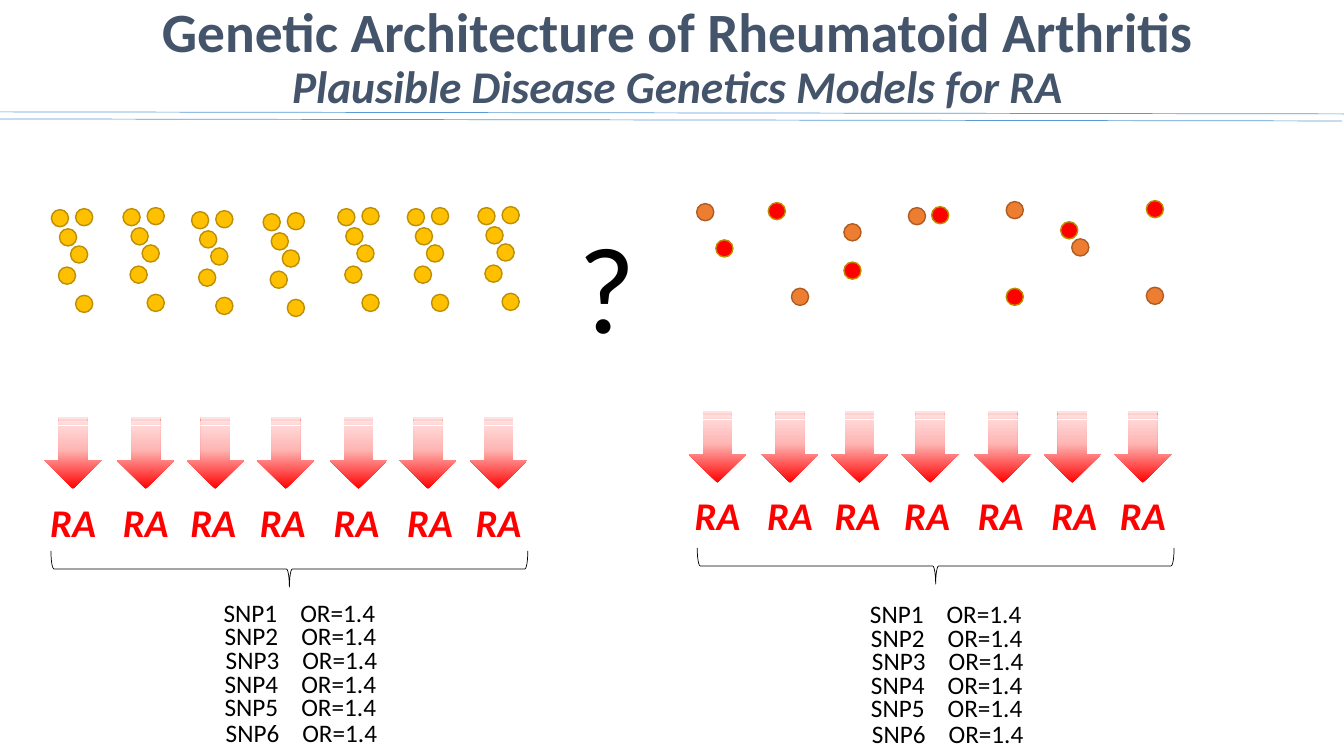
from copy import deepcopy
from dataclasses import dataclass

from lxml import etree
from pptx import Presentation
from pptx import util as u
from pptx.dml import color
from pptx.enum import shapes, text
from pptx.oxml import ns

DOT_SIZE = 0.17
RULE_BLUE = "5B9BD5"
TITLE_SLATE = "44546A"
RED = "FF0000"
BLACK = "000000"
ARROW_STOPS = [(0, RED), (0.55, "FEB6B4"), (1, "FFE3E3")]


@dataclass(frozen=True)
class Variant:
    fill: str
    outline: str


@dataclass(frozen=True)
class Model:
    arrow_left: float
    arrow_top: float
    label_left: float
    label_top: float
    brace_left: float
    brace_top: float
    snp_left: float
    snp_top: float


COMMON = Variant("FFC000", "BD8E00")
RARE_RED = Variant(RED, "BD8E00")
RARE_ORANGE = Variant("ED7D31", "AF5C24")

CLUSTER_DOTS = [(0.08, 0.19), (0.07, 0.57), (0.24, -0.01),
                (0.19, 0.36), (0.24, 0.85), (0, 0)]
CLUSTERS = [(0.51, 2.08), (1.22, 2.07), (1.9, 2.1), (2.61, 2.12),
            (3.35, 2.07), (4.04, 2.07), (4.74, 2.06)]
RARE_DOTS = [
    (RARE_RED, [(7.1, 2.38), (7.62, 2.01), (8.37, 2.6), (9.24, 2.05),
                (9.98, 2.86), (10.52, 2.2), (11.37, 1.99)]),
    (RARE_ORANGE, [(6.91, 2.02), (7.85, 2.86), (8.37, 2.22), (9.01, 2.06),
                   (9.98, 2), (10.63, 2.37), (11.37, 2.85)]),
]
MODELS = [
    Model(0.37, 4.21, 0.4, 4.89, 2.69, 3.28, 2.12, 5.88),
    Model(6.76, 4.15, 6.79, 4.83, 9.1, 3.25, 8.53, 5.89),
]
ARROW_STEPS = [0, 0.72, 1.41, 2.11, 2.83, 3.52, 4.22]
LABEL_STEPS = [0, 0.72, 1.39, 2.08, 2.81, 3.54, 4.22]
SNP_STEPS = [(0, 0), (0.01, 0.23), (0.02, 0.46), (0.01, 0.7), (0.01, 0.93), (0.02, 1.19)]

deck = Presentation()
deck.slide_width = u.Inches(13.33)
deck.slide_height = u.Inches(7.5)
slide = deck.slides.add_slide(deck.slide_layouts[6])


def rgb(value: str) -> color.RGBColor:
    return color.RGBColor.from_string(value)


def add_text(content, left: float, top: float, width: float, height: float, *,
             size: float, tint: str = BLACK, bold=None, italic=None,
             wrap: bool = False, tab: float = 0, align=None, anchor=None, spacing=None):
    box = slide.shapes.add_textbox(*map(u.Inches, (left, top, width, height)))
    frame = box.text_frame
    frame.word_wrap = wrap
    if anchor is not None:
        frame.vertical_anchor = anchor
    paragraph = frame.paragraphs[0]
    if tab:
        stops = etree.SubElement(paragraph._p.get_or_add_pPr(), ns.qn("a:tabLst"))
        etree.SubElement(stops, ns.qn("a:tab"), pos=str(u.Inches(tab)), algn="l")
    paragraph.alignment = align
    paragraph.line_spacing = spacing
    add_run(paragraph, content, size, tint, bold, italic)
    return paragraph


def add_run(paragraph, content: str, size: float, tint: str, bold=None, italic=None) -> None:
    run = paragraph.add_run()
    run.text = content
    run.font.name = "Calibri"
    run.font.size = u.Pt(size)
    run.font.color.rgb = rgb(tint)
    run.font.bold = bold
    run.font.italic = italic


def add_preset(kind, left: float, top: float, width: float, height: float, rotation: float = 0):
    preset = slide.shapes.add_shape(kind, *map(u.Inches, (left, top, width, height)))
    preset.shadow.inherit = False
    preset.rotation = rotation
    return preset


def set_outline(line, tint: str, width: float) -> None:
    line.color.rgb = rgb(tint)
    line.width = u.Pt(width)


def add_dot(variant: Variant, left: float, top: float) -> None:
    dot = add_preset(shapes.MSO_SHAPE.OVAL, left, top, DOT_SIZE, DOT_SIZE)
    dot.fill.solid()
    dot.fill.fore_color.rgb = rgb(variant.fill)
    set_outline(dot.line, variant.outline, 1)


def add_arrow(left: float, top: float) -> None:
    arrow = add_preset(shapes.MSO_SHAPE.STRIPED_RIGHT_ARROW, left, top, 0.71, 0.57, 90)
    arrow.line.fill.background()
    arrow.fill.gradient()
    arrow.fill.gradient_angle = 180
    stop_list = next(arrow._element.iter(ns.qn("a:gsLst")))
    stop_list.append(deepcopy(stop_list[0]))
    for stop, (position, tint) in zip(arrow.fill.gradient_stops, ARROW_STOPS):
        stop.position = position
        stop.color.rgb = rgb(tint)


def add_rule(left: float, top: float) -> None:
    rule = slide.shapes.add_connector(
        shapes.MSO_CONNECTOR.STRAIGHT,
        *map(u.Inches, (left, top, left + 13.33, top + 0.02)))
    set_outline(rule.line, RULE_BLUE, 0.5)
    etree.SubElement(rule._element.spPr, ns.qn("a:effectLst"))


def add_brace(left: float, top: float) -> None:
    brace = add_preset(shapes.MSO_SHAPE.RIGHT_BRACE, left, top, 0.36, 4.73, 90)
    brace.adjustments[0] = 0.083
    brace.adjustments[1] = 0.5
    brace.fill.background()
    set_outline(brace.line, BLACK, 0.5)


def add_model(model: Model) -> None:
    for step in ARROW_STEPS:
        add_arrow(model.arrow_left + step, model.arrow_top)
    for step in LABEL_STEPS:
        add_text("RA", model.label_left + step, model.label_top, 0.66, 0.57,
                 size=28, tint=RED, bold=True, italic=True)
    add_brace(model.brace_left, model.brace_top)
    for number, (across, down) in enumerate(SNP_STEPS, 1):
        add_text(f"SNP{number}\tOR=1.4", model.snp_left + across, model.snp_top + down,
                 1.72, 0.4, size=18, wrap=True, tab=0.76)


def main() -> None:
    heading = add_text("Genetic Architecture of Rheumatoid Arthritis", 0.92, 0.07, 11.6, 1.03,
                       size=39.6, tint=TITLE_SLATE, bold=True, wrap=True, spacing=0.9,
                       align=text.PP_ALIGN.CENTER, anchor=text.MSO_ANCHOR.MIDDLE)
    heading.add_line_break()
    add_run(heading, "Plausible Disease Genetics Models for RA", 32.4, TITLE_SLATE, True, True)
    add_rule(0, 1.11)
    add_rule(-0.02, 1.18)
    for left, top in CLUSTERS:
        for across, down in CLUSTER_DOTS:
            add_dot(COMMON, left + across, top + down)
    for variant, places in RARE_DOTS:
        for left, top in places:
            add_dot(variant, left, top)
    for model in MODELS:
        add_model(model)
    add_text("?", 5.64, 2.04, 0.77, 1.58, size=88)
    deck.save("out.pptx")


if __name__ == "__main__":
    main()
